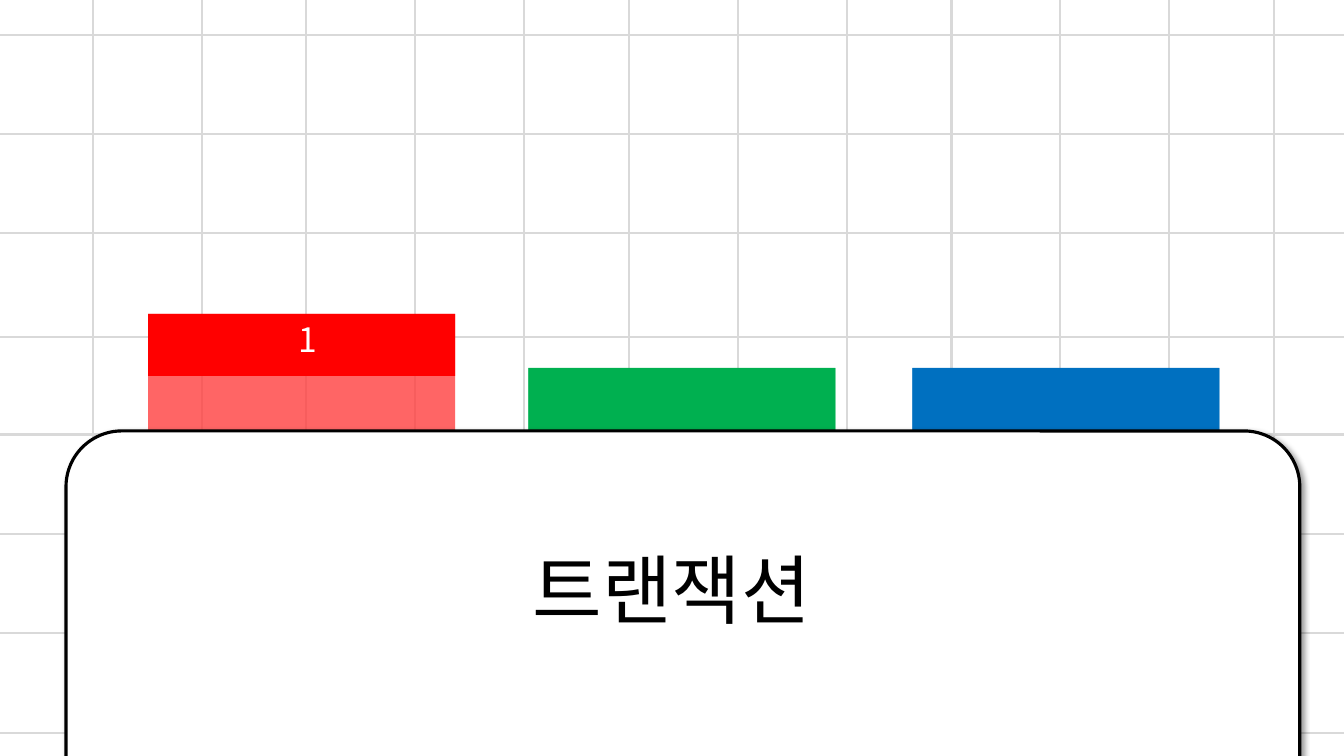
from lxml.etree import SubElement
from pptx import Presentation
from pptx.dml.color import RGBColor
from pptx.enum.shapes import MSO_CONNECTOR, MSO_SHAPE
from pptx.enum.text import MSO_ANCHOR, PP_ALIGN
from pptx.oxml import parse_xml
from pptx.oxml.ns import nsdecls, qn
from pptx.util import Emu, Inches, Pt

WIDTH, HEIGHT = Inches(13.333), Inches(7.5)
FONT = "Noto Sans CJK KR"

# All lengths are percentages of the slide's width or height.
GRID_ROWS = [4.67, 17.73, 30.8, 44.53, 57.47, 70.67, 83.73, 96.93]
GRID_COLUMNS = [6.9 + 24 * group + offset
                for group in range(4) for offset in (0, 8.1, 15.9)]
TAB_WIDTH, TAB_HEIGHT, STRIP_HEIGHT = 22.85, 24.53, 8.2
TABS = [  # left, top, strip colour, body colour, body opacity
    (11.03, 41.53, "FF0000", "FF3F3F", 80),
    (39.32, 48.68, "00B050", "00B050", 70),
    (67.88, 48.68, "0070C0", "0070C0", 70),
]


def color(hex_value):
    return RGBColor.from_string(hex_value)


def box(left, top, width, height):
    """Turn percentages of the slide into lengths."""
    return (Emu(int(WIDTH * left / 100)), Emu(int(HEIGHT * top / 100)),
            Emu(int(WIDTH * width / 100)), Emu(int(HEIGHT * height / 100)))


def add_grid_line(s, x1, y1, x2, y2):
    line = s.shapes.add_connector(MSO_CONNECTOR.STRAIGHT, *box(x1, y1, x2, y2))
    line.line.color.rgb = color("D9D9D9")
    line.line.width = Pt(1.5)
    SubElement(line._element.spPr, qn("a:effectLst"))


def add_block(s, kind, place, fill, opacity=100):
    sp = s.shapes.add_shape(kind, *box(*place))
    sp.shadow.inherit = False
    sp.fill.solid()
    sp.fill.fore_color.rgb = color(fill)
    sp.line.fill.background()
    if opacity < 100:
        srgb = sp._element.spPr.find(qn("a:solidFill")).find(qn("a:srgbClr"))
        SubElement(srgb, qn("a:alpha"), val=str(opacity * 1000))
    return sp


def add_tab(s, left, top, strip, body, opacity):
    add_block(s, MSO_SHAPE.RECTANGLE, (left, top, TAB_WIDTH, TAB_HEIGHT),
              body, opacity)
    add_block(s, MSO_SHAPE.RECTANGLE, (left, top, TAB_WIDTH, STRIP_HEIGHT), strip)


def add_card(s):
    sp = add_block(s, MSO_SHAPE.ROUNDED_RECTANGLE, (4.91, 57, 91.8, 55.07), "FFFFFF")
    sp.adjustments[0] = 0.134
    sp.line.color.rgb = color("000000")
    sp.line.width = Pt(2.25)
    effects = sp._element.spPr.find(qn("a:effectLst"))
    effects.append(parse_xml(
        f'<a:outerShdw {nsdecls("a")} blurRad="{Pt(4)}" dist="{Pt(3)}" '
        'dir="2700000" algn="tl" rotWithShape="0"><a:srgbClr val="000000">'
        '<a:alpha val="40000"/></a:srgbClr></a:outerShdw>'))


def set_text(sp, text, size=24, fill="000000", align=PP_ALIGN.CENTER,
             anchor=MSO_ANCHOR.MIDDLE):
    tf = sp.text_frame
    tf.word_wrap = False
    tf.vertical_anchor = anchor
    p = tf.paragraphs[0]
    p.alignment = align
    p.line_spacing = 1.0
    r = p.add_run()
    r.text = text
    r.font.size = Pt(size)
    r.font.name = FONT
    r.font.color.rgb = color(fill)
    SubElement(r.font._element, qn("a:ea"), typeface=FONT)


def place_title(s, text, place, **text_format):
    """Move the title placeholder and bring it to the front."""
    title = s.shapes.title
    title.left, title.top, title.width, title.height = box(*place)
    set_text(title, text, **text_format)
    s.shapes._spTree.append(title._element)


def main():
    prs = Presentation()
    prs.slide_width, prs.slide_height = WIDTH, HEIGHT
    s = prs.slides.add_slide(prs.slide_layouts[5])
    for y in GRID_ROWS:
        add_grid_line(s, 0, y, 100, y)
    for x in GRID_COLUMNS:
        add_grid_line(s, x, 0, x, 100)
    for tab in TABS:
        add_tab(s, *tab)
    add_card(s)
    number = s.shapes.add_textbox(*box(20.63, 40.7, 4.58, STRIP_HEIGHT))
    set_text(number, "1", fill="FFFFFF")
    place_title(s, "트랜잭션", (37.88, 71.07, 24.23, 13.47), size=54)
    prs.save("out.pptx")


if __name__ == "__main__":
    main()
